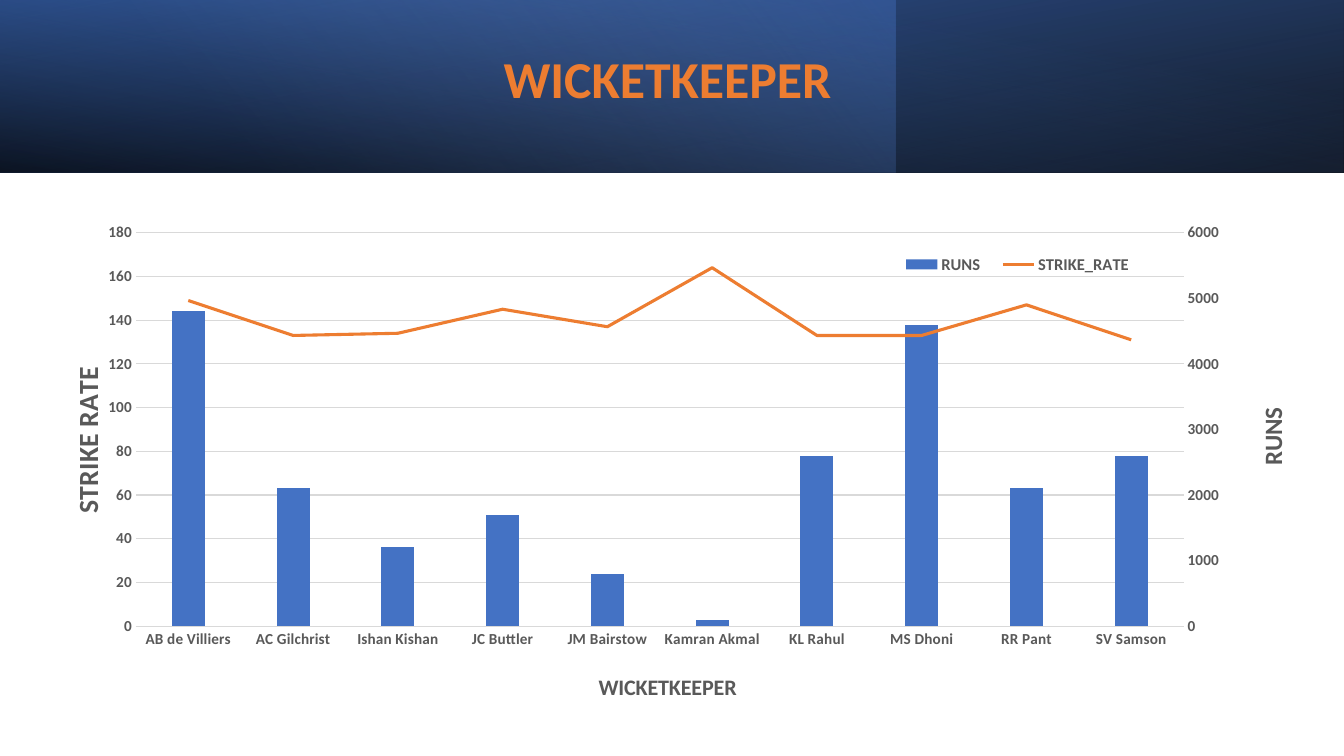
from copy import deepcopy
from dataclasses import dataclass

from lxml.etree import SubElement as Sub
from pptx import Presentation
from pptx.chart.axis import ValueAxis
from pptx.chart.data import CategoryChartData as Data
from pptx.dml.color import RGBColor as Rgb
from pptx.enum.chart import XL_CHART_TYPE as Kind
from pptx.enum.chart import XL_LEGEND_POSITION as Side
from pptx.enum.chart import XL_TICK_MARK as Tick
from pptx.enum.shapes import MSO_SHAPE as Form
from pptx.enum.text import MSO_ANCHOR as Anchor
from pptx.enum.text import PP_ALIGN as Align
from pptx.oxml.ns import qn
from pptx.util import Pt

PX = 914400 / 100.8
NAMES = ("AB de Villiers", "AC Gilchrist", "Ishan Kishan", "JC Buttler", "JM Bairstow",
         "Kamran Akmal", "KL Rahul", "MS Dhoni", "RR Pant", "SV Samson")
RUNS = (4800, 2100, 1200, 1700, 800, 100, 2600, 4600, 2100, 2600)
RATES = (149, 133, 134, 145, 137, 164, 133, 133, 147, 131)


@dataclass(frozen=True)
class Theme:
    """Hold the colours and type sizes."""
    face: str = "Calibri"
    blue: str = "4472C4"
    orange: str = "ED7D31"
    navy: str = "2F5597"
    pale: str = "8FAADC"
    black: str = "000000"
    grey: str = "595959"
    rule: str = "D9D9D9"
    head: int = 37
    rate: int = 20
    runs: int = 18
    keeper: int = 16
    key: int = 12
    tick: int = 11


LOOK = Theme()


def px(*nums):
    """Turn pixels into EMU."""
    return [round(n * PX) for n in nums]


def style(font, size, color):
    """Set a bold font."""
    font.name, font.size, font.bold = LOOK.face, Pt(size), True
    font.color.rgb = Rgb.from_string(color)


def layer(slide, box, stops, angle, flip=False, turn=0):
    """Draw one see-through gradient layer."""
    shape = slide.shapes.add_shape(Form.RECTANGLE, *px(*box))
    shape.shadow.inherit = False
    shape.line.fill.background()
    shape.rotation = turn
    if flip:
        shape._element.spPr.xfrm.set("flipH", "1")
    fill = shape.fill
    fill.gradient()
    fill.gradient_angle = 360 - angle
    for stop, (spot, color, _) in zip(fill.gradient_stops, stops):
        stop.position = spot / 100
        stop.color.rgb = Rgb.from_string(color)
    for tint, (_, _, alpha) in zip(shape._element.xpath(".//a:gs/a:srgbClr"), stops):
        Sub(tint, qn("a:alpha")).set("val", str(alpha * 1000))


def banner(slide, box):
    """Draw the banner layers and its heading."""
    left, top, wide, high = box
    layer(slide, box, ((0, LOOK.black, 96), (100, LOOK.navy, 100)), 100, True, 180)
    layer(slide, (left, top, wide * 2 // 3, high),
          ((0, LOOK.blue, 41), (74, LOOK.pale, 0)), 140)
    layer(slide, box, ((0, LOOK.black, 63), (78, LOOK.blue, 15)), 260, True)
    frame = slide.shapes.add_textbox(*px(left + 489, top + 33, 357, 97)).text_frame
    frame.word_wrap = True
    frame.vertical_anchor = Anchor.MIDDLE
    para = frame.paragraphs[0]
    para.text = "WICKETKEEPER"
    para.alignment = Align.CENTER
    para.line_spacing = 0.9
    style(para.font, LOOK.head, LOOK.orange)


def place(node, size, spots, inner=False):
    """Lay out a chart part by pixels within the chart size."""
    for old in node.findall(qn("c:layout")):
        node.remove(old)
    layout = node.makeelement(qn("c:layout"))
    mark = node.find(qn("c:overlay"))
    if mark is None:
        node.insert(0, layout)
    else:
        mark.addprevious(layout)
    hand = Sub(layout, qn("c:manualLayout"))
    if inner:
        Sub(hand, qn("c:layoutTarget")).set("val", "inner")
    for key in "xy":
        Sub(hand, qn(f"c:{key}Mode")).set("val", "edge")
    for key, spot, full in zip("xywh", spots, size * 2):
        Sub(hand, qn(f"c:{key}")).set("val", str(spot / full))


def dress(axis, title, points, size, spots):
    """Style an axis and place its title."""
    para = axis.axis_title.text_frame.paragraphs[0]
    para.text = title
    style(para.font, points, LOOK.grey)
    place(axis.axis_title._element, size, spots)
    style(axis.tick_labels.font, LOOK.tick, LOOK.grey)
    axis.major_tick_mark = axis.minor_tick_mark = Tick.NONE


def scale(axis, high, step):
    """Set the range of a value axis."""
    axis.minimum_scale, axis.maximum_scale, axis.major_unit = 0, high, step
    axis.format.line.fill.background()


def split(chart):
    """Move the rates to a line and return the left and right axes."""
    plot = chart._chartSpace.chart.plotArea
    bar = plot.find(qn("c:barChart"))
    line = plot.makeelement(qn("c:lineChart"))
    bar.addnext(line)
    Sub(line, qn("c:grouping")).set("val", "standard")
    Sub(line, qn("c:varyColors")).set("val", "0")
    rates = bar.findall(qn("c:ser"))[1]
    for flag in rates.findall(qn("c:invertIfNegative")):
        rates.remove(flag)
    line.append(rates)
    Sub(line, qn("c:marker")).set("val", "1")
    cat, val = plot.find(qn("c:catAx")), plot.find(qn("c:valAx"))
    far, hid = deepcopy(val), deepcopy(cat)
    val.addnext(far)
    far.addnext(hid)
    for old, code in zip(bar.findall(qn("c:axId")), ("5001", "5002")):
        line.append(deepcopy(old))
        old.set("val", code)
    for node, own, other in ((hid, "5001", "5002"), (far, "5002", "5001")):
        node.find(qn("c:axId")).set("val", own)
        node.find(qn("c:crossAx")).set("val", other)
    hid.find(qn("c:delete")).set("val", "1")
    far.find(qn("c:axPos")).set("val", "r")
    far.find(qn("c:crosses")).set("val", "max")
    return ValueAxis(val), ValueAxis(far)


def graph(slide, box):
    """Draw the runs and strike rates of each wicketkeeper."""
    size = box[2:]
    data = Data()
    data.categories = NAMES
    data.add_series("RUNS", RUNS)
    data.add_series("STRIKE_RATE", RATES)
    chart = slide.shapes.add_chart(Kind.COLUMN_CLUSTERED, *px(*box), data).chart
    chart.has_title = False
    style(chart.font, LOOK.tick, LOOK.grey)
    bars = chart.plots[0]
    bars.gap_width, bars.overlap, bars.vary_by_categories = 219, -27, False
    left, right = split(chart)
    base = chart.category_axis
    right.has_major_gridlines = False
    dress(left, "STRIKE RATE", LOOK.rate, size, (16, 147))
    dress(right, "RUNS", LOOK.runs, size, (1218, 188))
    dress(base, "WICKETKEEPER", LOOK.keeper, size, (554, 456))
    scale(left, 180, 20)
    scale(right, 6000, 1000)
    for edge in (left.major_gridlines.format.line, base.format.line):
        edge.color.rgb = Rgb.from_string(LOOK.rule)
        edge.width = Pt(0.75)
    runs, rates = (plot.series[0] for plot in chart.plots)
    runs.format.fill.solid()
    runs.format.fill.fore_color.rgb = Rgb.from_string(LOOK.blue)
    rates.format.line.color.rgb = Rgb.from_string(LOOK.orange)
    rates.format.line.width = Pt(2.25)
    rates.smooth = False
    mark = rates._element.makeelement(qn("c:marker"))
    Sub(mark, qn("c:symbol")).set("val", "none")
    rates._element.find(qn("c:spPr")).addnext(mark)
    place(chart._chartSpace.chart.plotArea, size, (90, 16, 1060, 398), True)
    chart.has_legend = True
    chart.legend.position = Side.TOP
    chart.legend.include_in_layout = False
    style(chart.legend.font, LOOK.key, LOOK.grey)
    place(chart.legend._element, size, (852, 33, 260, 30))


def main():
    """Build and save the slide."""
    deck = Presentation()
    deck.slide_width, deck.slide_height = px(1344, 756)
    slide = deck.slides.add_slide(deck.slide_layouts[6])
    banner(slide, (0, 0, 1344, 173))
    graph(slide, (47, 217, 1249, 491))
    deck.save("out.pptx")


if __name__ == "__main__":
    main()
